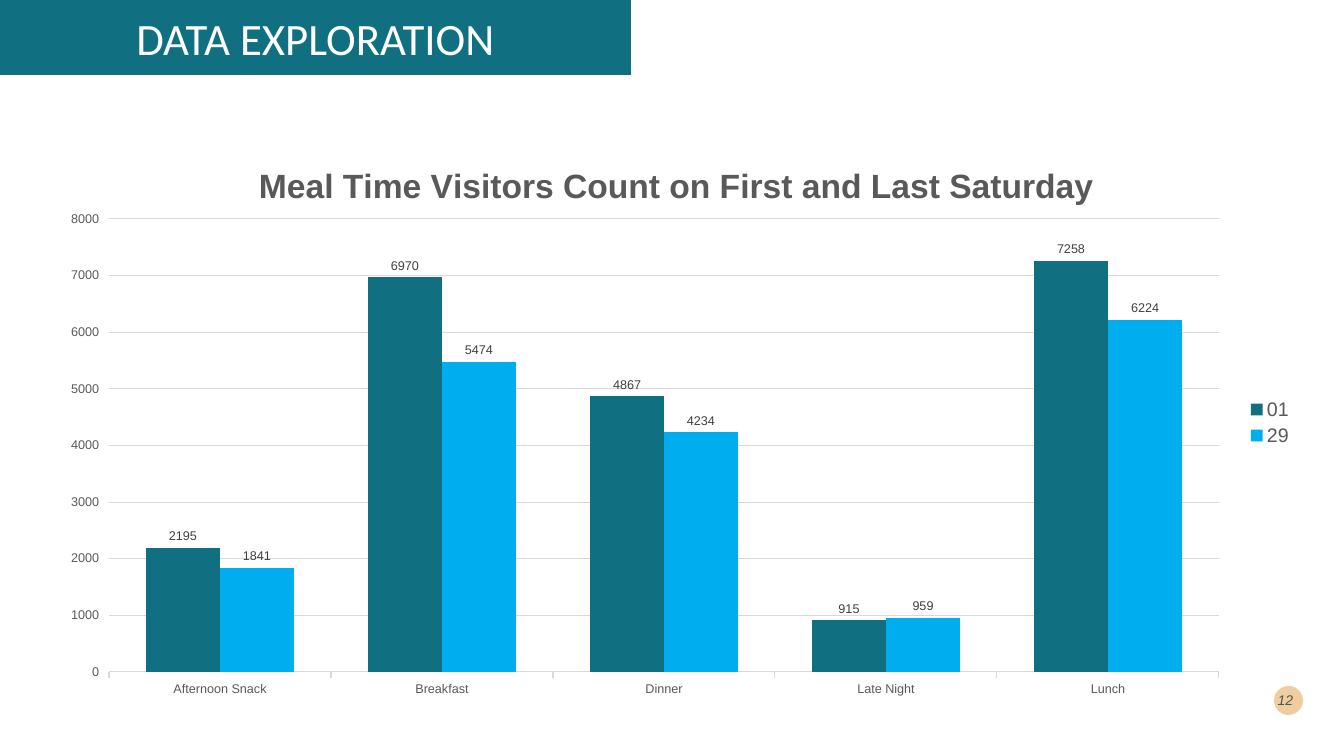
from lxml import etree
from pptx import Presentation
from pptx import util as u
from pptx.chart.data import CategoryChartData
from pptx.dml.color import RGBColor
from pptx.enum import chart as ch, shapes, text
from pptx.oxml.ns import qn

# Content
HEADING = "DATA EXPLORATION"
PAGE = "12"
CHART_TITLE = "Meal Time Visitors Count on First and Last Saturday"
MEALS = ["Afternoon Snack", "Breakfast", "Dinner", "Late Night", "Lunch"]
VISITORS = {
    "01": [2195, 6970, 4867, 915, 7258],
    "29": [1841, 5474, 4234, 959, 6224],
}

# Theme
THEME = {
    "saturdays": {"01": "107082", "29": "00AEEF"},
    "banner": "107082", "badge": "F0CDA1", "rule": "D9D9D9",
    "heading": {"name": "Calibri", "size": 32, "color": "FFFFFF"},
    "page": {"name": "Arial", "size": 10, "color": "00292E", "italic": True},
    "chart": {"name": "Arial", "size": 10, "color": "000000"},
    "chart_title": {"name": "Arial", "size": 24, "color": "595959", "bold": True},
    "axis": {"name": "Arial", "size": 9, "color": "595959"},
    "legend": {"name": "Arial", "size": 14, "color": "595959"},
    "label": {"name": "Arial", "size": 9, "color": "404040"},
}

# Boxes in px: left, top, width, height
SLIDE = (1344, 756)
BANNER = (0, 0, 631, 75)
CHART = (46, 136, 1258, 573)
PLOT = (109, 219, 1110, 453)
CHART_TITLE_AT = (253, 158)
BADGE = (1274, 686, 29, 29)
PAGE_BOX = (1264, 680, 39, 40)
PX = 914400 / 100.8


def emu(box):
    return [u.Emu(round(v * PX)) for v in box]


def style(font, key):
    for attr, value in THEME[key].items():
        if attr == "color":
            font.color.rgb = RGBColor.from_string(value)
        else:
            setattr(font, attr, u.Pt(value) if attr == "size" else value)


def paint(fill, color):
    fill.solid()
    fill.fore_color.rgb = RGBColor.from_string(color)


def rule(line):
    line.width = u.Pt(0.75)
    paint(line.fill, THEME["rule"])


def write(frame, words, key, align):
    frame.word_wrap = True
    frame.auto_size = text.MSO_AUTO_SIZE.NONE
    frame.vertical_anchor = text.MSO_ANCHOR.MIDDLE
    line = frame.paragraphs[0]
    line.alignment = align
    run = line.add_run()
    run.text = words
    style(run.font, key)
    return run


def place(part, index, box, inner=False):
    """Fix a chart part at a px box measured on the slide."""
    for old in part.findall(qn("c:layout")):
        part.remove(old)
    layout = etree.Element(qn("c:layout"))
    manual = etree.SubElement(layout, qn("c:manualLayout"))
    settings = [("layoutTarget", "inner")] if inner else []
    settings += [("xMode", "edge"), ("yMode", "edge")]
    offsets = [box[0] - CHART[0], box[1] - CHART[1], *box[2:]]
    for tag, value, whole in zip("xywh", offsets, CHART[2:] * 2):
        settings.append((tag, f"{value / whole:.4f}"))
    for tag, value in settings:
        etree.SubElement(manual, qn(f"c:{tag}")).set("val", value)
    part.insert(index, layout)


prs = Presentation()
prs.slide_width, prs.slide_height = emu(SLIDE)
slide = prs.slides.add_slide(prs.slide_layouts[5])

# Page badge
badge = slide.shapes.add_shape(shapes.MSO_SHAPE.OVAL, *emu(BADGE))
badge.shadow.inherit = False
paint(badge.fill, THEME["badge"])
badge.line.fill.background()
page = slide.shapes.add_textbox(*emu(PAGE_BOX))
number = write(page.text_frame, PAGE, "page", text.PP_ALIGN.RIGHT)
ink = number.font.fill._xPr.find(".//" + qn("a:srgbClr"))
etree.SubElement(ink, qn("a:alpha")).set("val", "70000")

# Banner heading
banner = slide.shapes.title
banner.left, banner.top, banner.width, banner.height = emu(BANNER)
paint(banner.fill, THEME["banner"])
write(banner.text_frame, HEADING, "heading", text.PP_ALIGN.CENTER)

# Visitors chart
data = CategoryChartData()
data.categories = MEALS
for saturday, counts in VISITORS.items():
    data.add_series(saturday, counts)
chart = slide.shapes.add_chart(
    ch.XL_CHART_TYPE.COLUMN_CLUSTERED, *emu(CHART), data).chart
style(chart.font, "chart")
chart.has_title = True
heading = chart.chart_title.text_frame.paragraphs[0].add_run()
heading.text = CHART_TITLE
style(heading.font, "chart_title")
chart.chart_title.include_in_layout = False

# Columns and their values
plot = chart.plots[0]
plot.gap_width, plot.overlap, plot.vary_by_categories = 100, 0, False
for series in plot.series:
    paint(series.format.fill, THEME["saturdays"][series.name])
    labels = series.data_labels
    labels.show_value = True
    labels.position = ch.XL_LABEL_POSITION.OUTSIDE_END
    style(labels.font, "label")

# Axes and legend
meals, visitors = chart.category_axis, chart.value_axis
for axis in (meals, visitors):
    style(axis.tick_labels.font, "axis")
    axis.major_tick_mark = ch.XL_TICK_MARK.OUTSIDE
rule(meals.format.line)
visitors.format.line.fill.background()
visitors.minimum_scale, visitors.maximum_scale, visitors.major_unit = 0, 8000, 1000
visitors.has_major_gridlines = True
rule(visitors.major_gridlines.format.line)
chart.has_legend = True
chart.legend.position = ch.XL_LEGEND_POSITION.RIGHT
chart.legend.include_in_layout = False
style(chart.legend.font, "legend")

# Places inside the chart
space = chart.element
place(space.find(".//" + qn("c:plotArea")), 0, PLOT, inner=True)
place(space.find(".//" + qn("c:title")), 1, CHART_TITLE_AT)

prs.save("out.pptx")
